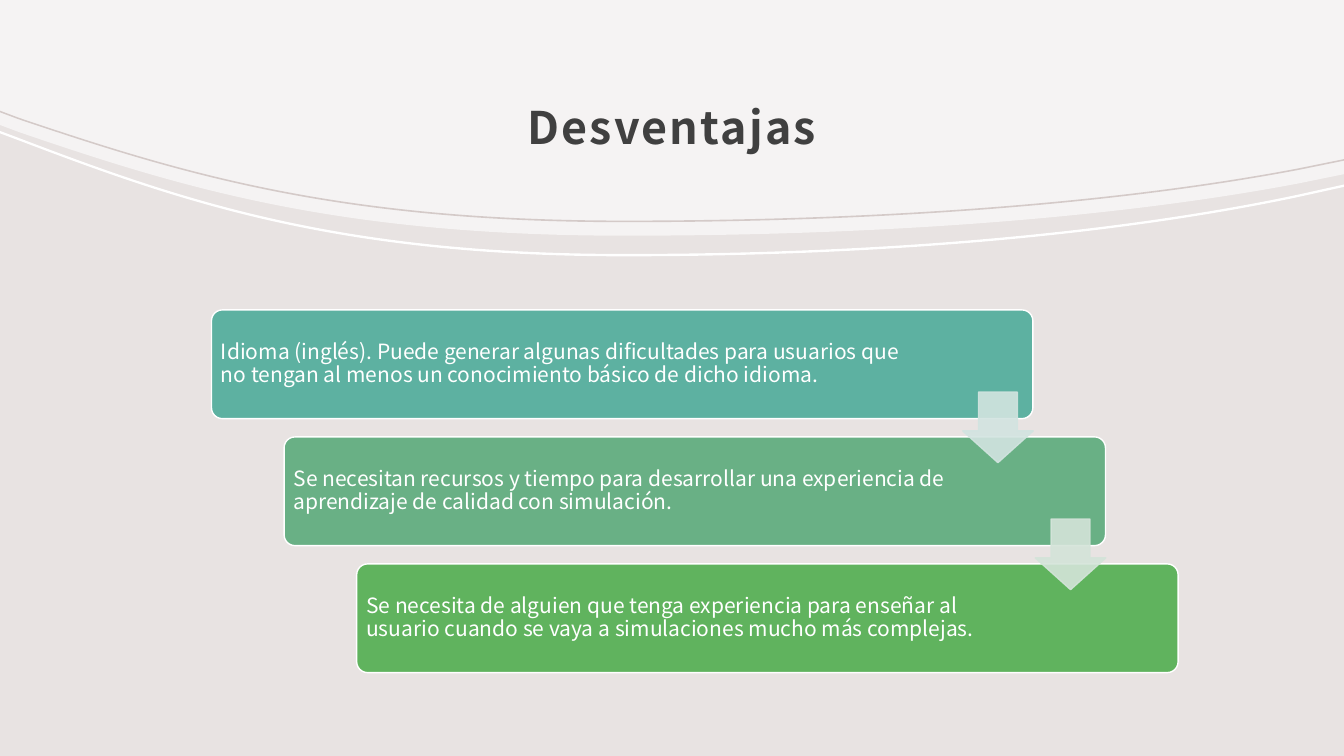
from lxml.etree import SubElement
from pptx import Presentation
from pptx.dml.color import RGBColor
from pptx.enum.shapes import MSO_SHAPE
from pptx.enum.text import MSO_ANCHOR, MSO_AUTO_SIZE, PP_ALIGN
from pptx.oxml.ns import qn
from pptx.util import Cm, Pt

HUES = {"back": "E8E3E2", "white": "FFFFFF", "rim": "D4CAC8", "title": "404040",
        "teal": "5DB1A1", "sage": "69B085", "green": "60B35E",
        "mist": "D2E4E0", "pale": "D4E4D9"}
FONT = "Noto Sans CJK JP"
WIDE, HIGH = 33.87, 19.05


def paint(shape, fill, line=None, alpha=100):
    """Fill and outline a shape, with opacity in percent."""
    shape.shadow.inherit = False
    shape.fill.solid()
    shape.fill.fore_color.rgb = RGBColor.from_string(HUES[fill])
    if line:
        shape.line.color.rgb = RGBColor.from_string(HUES[line])
        shape.line.width = Pt(1)
    else:
        shape.line.fill.background()
    if alpha < 100:
        for tone in shape.element.spPr.iter(qn("a:srgbClr")):
            SubElement(tone, qn("a:alpha")).set("val", str(alpha * 1000))


def arc(depths, drop=0):
    """Ends and handles of a sagging edge across the slide, in cm."""
    a, b, c, d, e, f, g = [depth + drop for depth in depths]
    return [(0, a), (0.48, b), (4.55, c), (8.46, d), (15.75, d),
            (22.23, d), (28.17, e), (32.74, f), (WIDE, g)]


deck = Presentation()
deck.slide_width, deck.slide_height = Cm(WIDE), Cm(HIGH)
slide = deck.slides.add_slide(deck.slide_layouts[5])
slide.background.fill.solid()
slide.background.fill.fore_color.rgb = RGBColor.from_string(HUES["back"])

# Title
title = slide.shapes.title
title.left, title.top, title.width, title.height = Cm(3.39), Cm(1.5), Cm(27.09), Cm(2.9)
frame = title.text_frame
frame.auto_size = MSO_AUTO_SIZE.NONE
frame.vertical_anchor = MSO_ANCHOR.MIDDLE
frame.margin_left = frame.margin_right = frame.margin_top = Cm(0.3)
frame.margin_bottom = Cm(0.25)
head = frame.paragraphs[0]
head.text = "Desventajas"
head.alignment = PP_ALIGN.CENTER
head.line_spacing = 1.3
head.font.name, head.font.size, head.font.bold = FONT, Pt(32), True
head.font.color.rgb = RGBColor.from_string(HUES["title"])
head.runs[0].font._element.set("spc", "150")

# Curved panel and its two rims, behind the title
panel = arc((3.15, 3.33, 4.72, 5.94, 5.49, 4.62, 4.39)) + [(WIDE, 0), (0, 0)]
outer = (3.3, 3.48, 5.03, 6.4, 5.87, 4.9, 4.65)
inner = (2.79, 2.97, 4.34, 5.56, 5.11, 4.24, 4.01)
for dots, hue, alpha in [(panel, "white", 60),
                         (arc(outer) + arc(outer, 0.06)[::-1], "white", 100),
                         (arc(inner) + arc(inner, 0.04)[::-1], "rim", 100)]:
    dots = [(Cm(x), Cm(y)) for x, y in dots]
    pen = slide.shapes.build_freeform(*dots[0])
    pen.add_line_segments(dots[1:], close=True)
    band = pen.convert_to_shape()
    paint(band, hue, alpha=alpha)
    # Each run of two handles and an end becomes one Bézier curve
    lines = list(band.element.iter(qn("a:lnTo")))
    for first in (1, 4, 10, 13):
        trio = lines[first:first + 3]
        if len(trio) == 3:
            curve = SubElement(trio[0].getparent(), qn("a:cubicBezTo"))
            trio[0].addprevious(curve)
            for line in trio:
                curve.append(line[0])
                line.getparent().remove(line)
    title.element.addprevious(band.element)

# Staggered boxes: fill, right inset, text
STEP_X, STEP_Y = 1.83, 3.2
boxes = [
    ("teal", 2.94, "Idioma (inglés). Puede generar algunas dificultades para usuarios que "
     "no tengan al menos un conocimiento básico de dicho idioma."),
    ("sage", 3.76, "Se necesitan recursos y tiempo para desarrollar una experiencia de "
     "aprendizaje de calidad con simulación."),
    ("green", 3.76, "Se necesita de alguien que tenga experiencia para enseñar al "
     "usuario cuando se vaya a simulaciones mucho más complejas."),
]
for i, (hue, inset, text) in enumerate(boxes):
    box = slide.shapes.add_shape(MSO_SHAPE.ROUNDED_RECTANGLE, Cm(5.33 + i * STEP_X),
                                 Cm(7.81 + i * STEP_Y), Cm(20.7), Cm(2.74))
    box.adjustments[0] = 0.1
    paint(box, hue, "white")
    frame = box.text_frame
    frame.word_wrap = True
    frame.vertical_anchor = MSO_ANCHOR.MIDDLE
    frame.margin_left, frame.margin_right = Cm(0.16), Cm(inset)
    frame.margin_top = frame.margin_bottom = Cm(0.16)
    para = frame.paragraphs[0]
    para.text = text
    para.alignment = PP_ALIGN.LEFT
    para.line_spacing = 0.9
    para.font.name, para.font.size = FONT, Pt(15)
    para.font.color.rgb = RGBColor.from_string(HUES["white"])

# Arrows between the boxes
for i, hue in enumerate(("mist", "pale")):
    arrow = slide.shapes.add_shape(MSO_SHAPE.DOWN_ARROW, Cm(24.26 + i * STEP_X),
                                   Cm(9.88 + i * STEP_Y), Cm(1.78), Cm(1.78))
    arrow.adjustments[0], arrow.adjustments[1] = 0.55, 0.45
    paint(arrow, hue, hue, 90)

deck.save("out.pptx")
